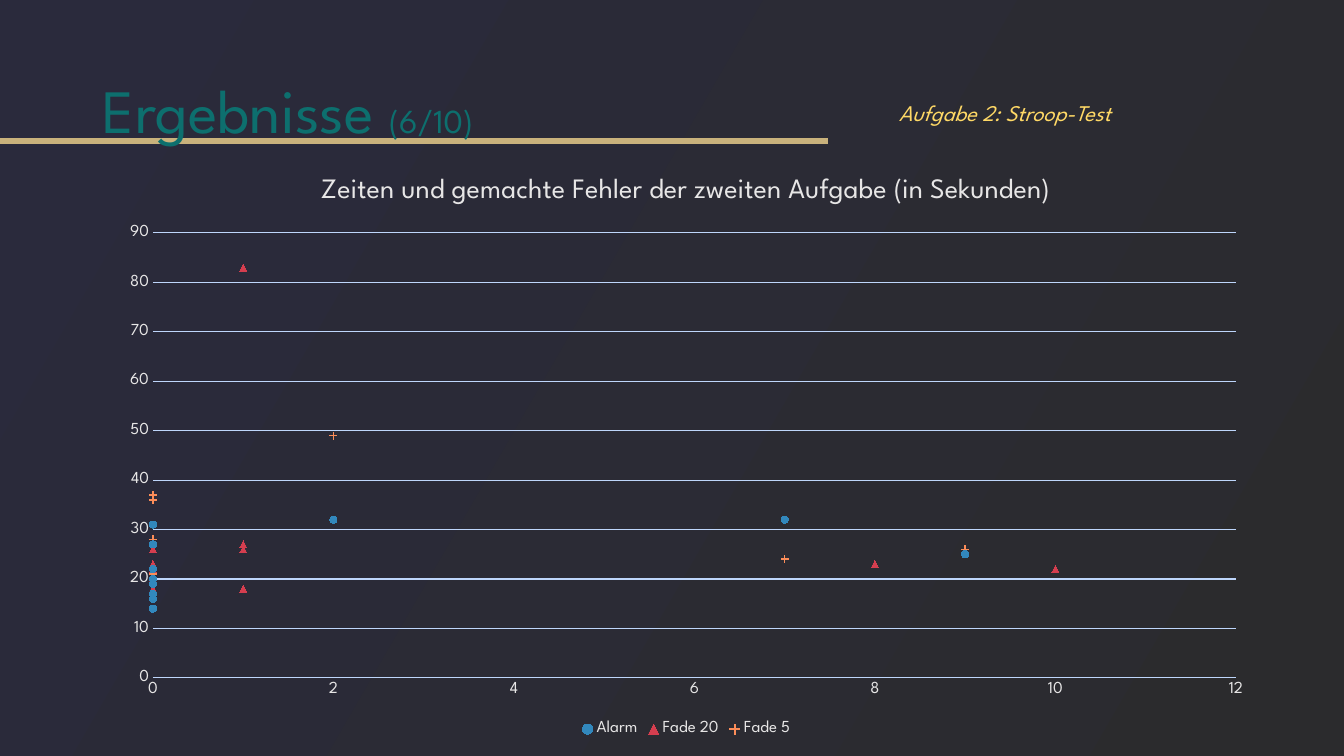
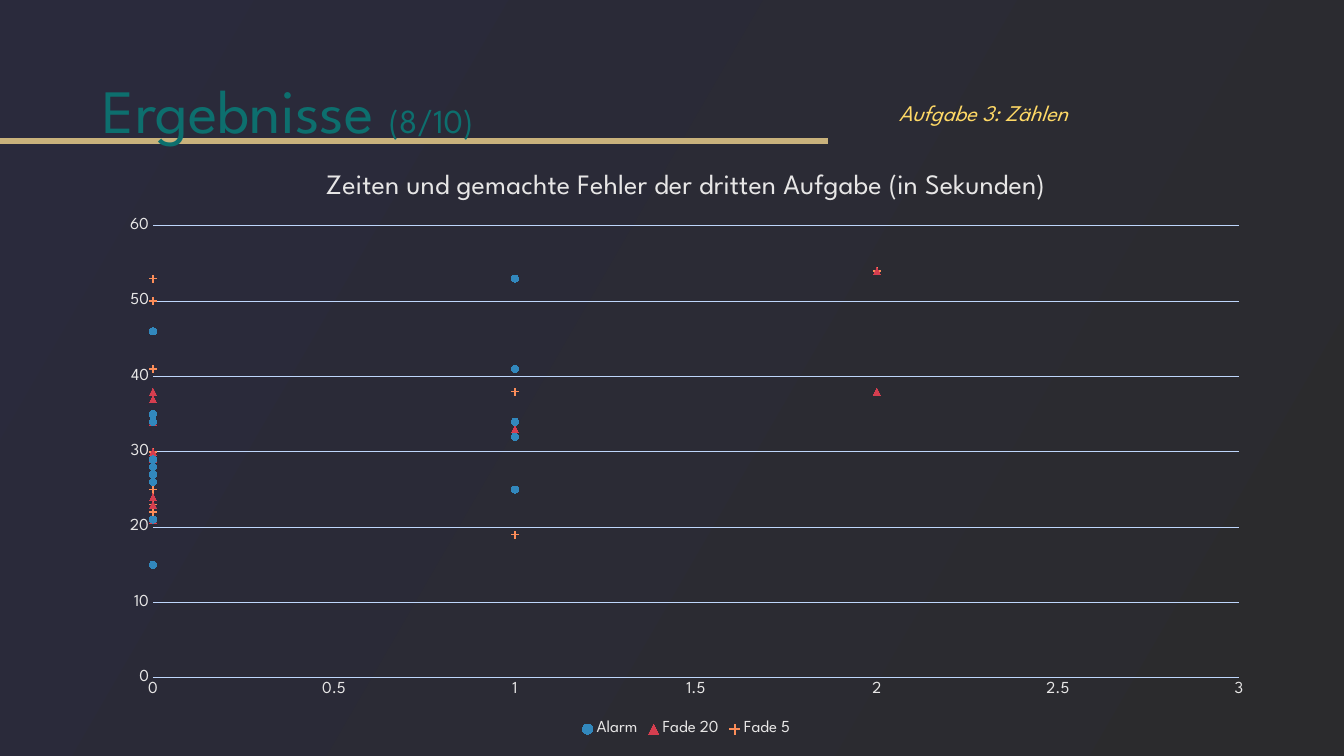
from lxml import etree
from pptx import Presentation
from pptx import util as u
from pptx.chart import data as chart_data
from pptx.dml.color import RGBColor
from pptx.enum import chart as charts, shapes, text
from pptx.oxml import ns

NIGHT = RGBColor(0x2A, 0x2A, 0x3C)
COAL = RGBColor(0x2B, 0x2B, 0x2D)
GOLD = RGBColor(0xC9, 0xB2, 0x7C)
TEAL = RGBColor(0x0D, 0x6F, 0x6E)
YELLOW = RGBColor(0xFF, 0xD9, 0x66)
NAVY = RGBColor(0x03, 0x16, 0x34)
PALE = RGBColor(0xE7, 0xE6, 0xE6)
SKY = RGBColor(0xBE, 0xD6, 0xFB)
BLUE = RGBColor(0x32, 0x88, 0xBD)
RED = RGBColor(0xD5, 0x3E, 0x4F)
ORANGE = RGBColor(0xFC, 0x8D, 0x59)

FONT = "League Spartan"
WIDTH, HEIGHT = 1344, 756
CHART_BOX = (107, 153, 1159, 588)
MARKERS = {
    "Alarm": (charts.XL_MARKER_STYLE.CIRCLE, BLUE),
    "Fade 20": (charts.XL_MARKER_STYLE.TRIANGLE, RED),
    "Fade 5": (charts.XL_MARKER_STYLE.PLUS, ORANGE),
}

RESULTS = [
    {
        "number": "(6/10)",
        "task": "Aufgabe 2: Stroop-Test",
        "heading": "Zeiten und gemachte Fehler der zweiten Aufgabe (in Sekunden)",
        "heading_at": (316, 170),
        "plot_at": (153, 233, 1083, 445),
        "max_errors": None,
        "groups": {
            "Fade 20": (
                [0, 0, 1, 0, 1, 1, 0, 0, 0, 8, 0, 1, 0, 10, 0],
                [20, 23, 18, 20, 26, 27, 20, 18, 18, 23, 22, 83, 20, 22, 26],
            ),
            "Fade 5": (
                [0, 0, 2, 0, 0, 0, 0, 0, 0, 0, 0, 0, 7, 0, 9],
                [17, 19, 49, 19, 28, 20, 21, 20, 16, 21, 21, 36, 24, 37, 26],
            ),
            "Alarm": (
                [0, 0, 0, 0, 0, 7, 0, 0, 2, 0, 9, 0, 0, 0, 0],
                [20, 14, 19, 16, 31, 32, 19, 16, 32, 27, 25, 22, 20, 17, 20],
            ),
        },
    },
    {
        "number": "(8/10)",
        "task": "Aufgabe 3: Zählen",
        "heading": "Zeiten und gemachte Fehler der dritten Aufgabe (in Sekunden)",
        "heading_at": (321, 166),
        "plot_at": (153, 226, 1086, 452),
        "max_errors": 3,
        "groups": {
            "Fade 5": (
                [0, 0, 0, 0, 0, 0, 0, 2, 1, 0, 0, 0, 0, 1, 0],
                [22, 34, 29, 25, 53, 23, 41, 54, 19, 26, 30, 28, 29, 38, 50],
            ),
            "Fade 20": (
                [2, 0, 0, 1, 0, 0, 0, 0, 0, 0, 0, 0, 0, 2, 0],
                [38, 24, 23, 33, 37, 34, 29, 30, 21, 23, 34, 34, 38, 54, 37],
            ),
            "Alarm": (
                [0, 1, 0, 0, 0, 0, 0, 0, 1, 1, 0, 1, 1, 0, 0],
                [34, 25, 28, 21, 29, 26, 46, 35, 32, 34, 35, 41, 53, 15, 27],
            ),
        },
    },
]


def px(length):
    return u.Emu(round(length * 914400 / 100.8))


class ResultDeck:
    def __init__(self):
        self.deck = Presentation()
        self.deck.slide_width = px(WIDTH)
        self.deck.slide_height = px(HEIGHT)
        self.page = None

    def add_page(self):
        self.page = self.deck.slides.add_slide(self.deck.slide_layouts[6])
        fill = self.page.background.fill
        fill.gradient()
        fill.gradient_angle = 330
        for stop, color, position in zip(fill.gradient_stops, (NIGHT, COAL), (0, 1)):
            stop.color.rgb = color
            stop.position = position

    def style_font(self, font, size, color, name=FONT):
        font.name = name
        font.size = u.Pt(size)
        font.color.rgb = color

    def add_band(self):
        band = self.page.shapes.add_connector(
            shapes.MSO_CONNECTOR.STRAIGHT, 0, px(141), px(828), px(141)
        )
        band.line.color.rgb = GOLD
        band.line.width = u.Pt(4.5)
        etree.SubElement(band.element.spPr, ns.qn("a:effectLst"))

    def add_text(self, at, runs, color, italic=None):
        box = self.page.shapes.add_textbox(*map(px, at))
        frame = box.text_frame
        frame.word_wrap = True
        para = frame.paragraphs[0]
        for words, size in runs:
            span = para.add_run()
            span.text = words
            span.font.italic = italic
            self.style_font(span.font, size, color)
        return frame

    def add_title(self, number):
        frame = self.add_text((93, 41, 1159, 146), [("Ergebnisse ", 44), (number, 24)], TEAL)
        frame.vertical_anchor = text.MSO_ANCHOR.MIDDLE
        frame.paragraphs[0].line_spacing = 0.9

    def add_task(self, task):
        frame = self.add_text((889, 94, 415, 37), [(task, 16)], YELLOW, italic=True)
        frame.auto_size = text.MSO_AUTO_SIZE.SHAPE_TO_FIT_TEXT

    def place_in_chart(self, node, index, at, inner=False):
        for old in node.findall(ns.qn("c:layout")):
            node.remove(old)
        layout = etree.Element(ns.qn("c:layout"))
        manual = etree.SubElement(layout, ns.qn("c:manualLayout"))
        left, top, width, height = CHART_BOX
        fractions = [(at[0] - left) / width, (at[1] - top) / height]
        if inner:
            fractions += [at[2] / width, at[3] / height]
        settings = [("layoutTarget", "inner")] if inner else []
        settings += [("xMode", "edge"), ("yMode", "edge")]
        settings += [(key, f"{part:.4f}") for key, part in zip("xywh", fractions)]
        for key, setting in settings:
            etree.SubElement(manual, ns.qn("c:" + key)).set("val", setting)
        node.insert(index, layout)

    def style_axis(self, axis):
        axis.major_tick_mark = charts.XL_TICK_MARK.NONE
        axis.minor_tick_mark = charts.XL_TICK_MARK.NONE
        axis.has_minor_gridlines = False
        self.style_font(axis.tick_labels.font, 12, PALE)

    def style_line(self, line):
        line.color.rgb = SKY
        line.width = u.Pt(0.75)

    def collect_points(self, groups):
        data = chart_data.XyChartData()
        for name in MARKERS:
            series = data.add_series(name)
            for group, (errors, seconds) in groups.items():
                for count, time in zip(errors, seconds):
                    series.add_data_point(count, time if group == name else None)
        return data

    def add_scatter(self, result):
        chart = self.page.shapes.add_chart(
            charts.XL_CHART_TYPE.XY_SCATTER,
            *map(px, CHART_BOX),
            self.collect_points(result["groups"]),
        ).chart
        for blank in chart.element.xpath('.//c:pt[c:v="None"]'):
            blank.getparent().remove(blank)
        self.style_font(chart.font, 10, NAVY, "Calibri")

        chart.has_title = True
        span = chart.chart_title.text_frame.paragraphs[0].add_run()
        span.text = result["heading"]
        span.font.bold = False
        self.style_font(span.font, 20, PALE)
        self.place_in_chart(chart.element.xpath("c:chart/c:title")[0], 1, result["heading_at"])
        self.place_in_chart(
            chart.element.xpath("c:chart/c:plotArea")[0], 0, result["plot_at"], inner=True
        )

        chart.has_legend = True
        chart.legend.position = charts.XL_LEGEND_POSITION.BOTTOM
        chart.legend.include_in_layout = False
        self.style_font(chart.legend.font, 12, PALE)

        errors_axis, seconds_axis = chart.category_axis, chart.value_axis
        self.style_axis(errors_axis)
        self.style_axis(seconds_axis)
        errors_axis.has_major_gridlines = False
        self.style_line(errors_axis.format.line)
        if result["max_errors"]:
            errors_axis.maximum_scale = result["max_errors"]
        seconds_axis.has_major_gridlines = True
        self.style_line(seconds_axis.major_gridlines.format.line)
        seconds_axis.format.line.fill.background()

        plot = chart.plots[0]
        plot.vary_by_categories = False
        for series in plot.series:
            style, color = MARKERS[series.name]
            series.format.line.fill.background()
            marker = series.marker
            marker.style = style
            marker.size = 5
            marker.format.fill.solid()
            marker.format.fill.fore_color.rgb = color
            marker.format.line.color.rgb = color

    def save(self):
        self.deck.save("out.pptx")


def main():
    deck = ResultDeck()
    for result in RESULTS:
        deck.add_page()
        deck.add_band()
        deck.add_title(result["number"])
        deck.add_scatter(result)
        deck.add_task(result["task"])
    deck.save()


if __name__ == "__main__":
    main()
